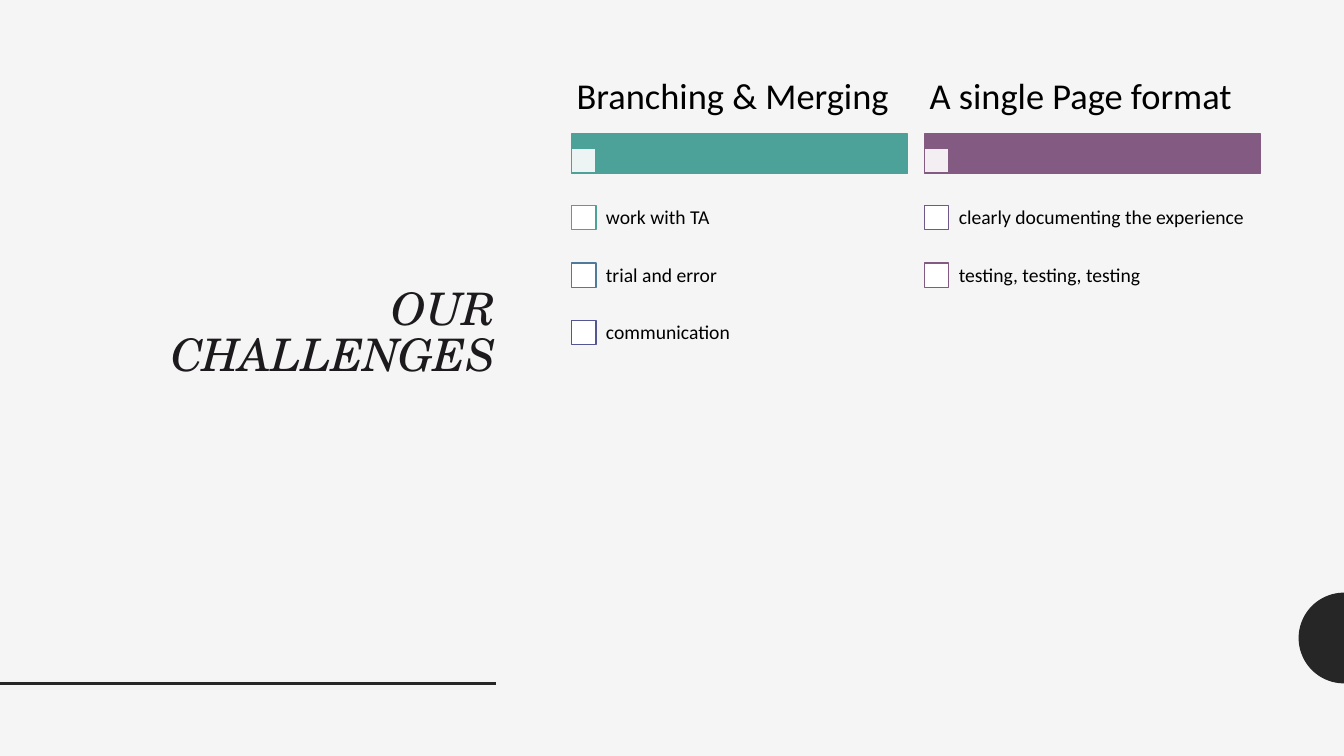
from dataclasses import dataclass
from math import cos, pi, sin

from lxml.etree import SubElement
from pptx import Presentation
from pptx.dml.color import RGBColor
from pptx.enum.shapes import MSO_CONNECTOR, MSO_SHAPE
from pptx.enum.text import MSO_ANCHOR, PP_ALIGN
from pptx.oxml.ns import qn
from pptx.util import Inches, Pt


@dataclass(frozen=True)
class Theme:
    """Colours, fonts and type sizes of the slide."""
    background: str = "F5F5F5"
    dark: str = "262626"
    title: str = "1D1A1D"
    text: str = "000000"
    box: str = "FFFFFF"
    teal: str = "4CA198"
    blue: str = "507A99"
    indigo: str = "545692"
    violet: str = "70588A"
    plum: str = "835B82"
    title_font: str = "TeX Gyre Schola"
    body_font: str = "Calibri"
    title_size: int = 32
    heading_size: int = 26
    item_size: int = 14


class ChallengeSlide:
    """Draws the elements of one slide in one theme."""

    def __init__(self, presentation, theme):
        """Add a blank slide with the theme background."""
        self.theme = theme
        self.slide = presentation.slides.add_slide(presentation.slide_layouts[6])
        self.fill(self.slide.background, theme.background)

    def fill(self, target, color):
        """Give a shape or background a solid fill."""
        target.fill.solid()
        target.fill.fore_color.rgb = RGBColor.from_string(color)

    def text(self, content, left, top, width, height, size, inset, line_spacing=0.9):
        """Add a vertically centred text box and return its paragraph."""
        shape = self.slide.shapes.add_textbox(
            Inches(left), Inches(top), Inches(width), Inches(height))
        frame = shape.text_frame
        frame.word_wrap = True
        frame.vertical_anchor = MSO_ANCHOR.MIDDLE
        frame.margin_left = frame.margin_right = Inches(inset[0])
        frame.margin_top = frame.margin_bottom = Inches(inset[1])
        paragraph = frame.paragraphs[0]
        paragraph.text = content
        paragraph.line_spacing = line_spacing
        paragraph.font.size = Pt(size)
        paragraph.font.name = self.theme.body_font
        paragraph.font.color.rgb = RGBColor.from_string(self.theme.text)
        return paragraph

    def title(self, content):
        """Add the right-aligned italic slide title."""
        paragraph = self.text(content, 0.83, 0.61, 4.19, 5.42,
                              self.theme.title_size, (0.1, 0.05), 0.85)
        paragraph.alignment = PP_ALIGN.RIGHT
        paragraph.font.name = self.theme.title_font
        paragraph.font.italic = True
        paragraph.font.color.rgb = RGBColor.from_string(self.theme.title)

    def rectangle(self, left, top, width, height, fill, line, opacity=100):
        """Add an outlined rectangle, optionally translucent."""
        shape = self.slide.shapes.add_shape(
            MSO_SHAPE.RECTANGLE, Inches(left), Inches(top), Inches(width), Inches(height))
        shape.shadow.inherit = False
        self.fill(shape, fill)
        shape.line.color.rgb = RGBColor.from_string(line)
        shape.line.width = Pt(1)
        if opacity < 100:
            color = shape.fill._xPr.find(qn("a:solidFill"))[0]
            SubElement(color, qn("a:alpha")).set("val", str(opacity * 1000))

    def checkbox(self, left, top, line, opacity=100):
        """Add a small white square."""
        self.rectangle(left, top, 0.24, 0.24, self.theme.box, line, opacity)

    def column(self, left, heading, color, items):
        """Add a heading, its colour bar and its list of checkboxes."""
        self.rectangle(left, 1.33, 3.33, 0.39, color, color)
        self.checkbox(left, 1.47, color, 90)
        self.text(heading, left, 0.62, 3.33, 0.7, self.theme.heading_size, (0.05, 0.04))
        for row, (item, line) in enumerate(items):
            top = 1.88 + 0.57 * row
            self.checkbox(left, top + 0.16, line)
            self.text(item, left + 0.23, top, 3.1, 0.57, self.theme.item_size, (0.11, 0.11))

    def rule(self, left, right, top):
        """Add a horizontal dark line."""
        line = self.slide.shapes.add_connector(
            MSO_CONNECTOR.STRAIGHT, Inches(left), Inches(top), Inches(right), Inches(top))
        line.line.color.rgb = RGBColor.from_string(self.theme.dark)
        line.line.width = Pt(2)
        SubElement(line._element.spPr, qn("a:effectLst"))

    def half_disc(self, center_x, center_y, radius, steps=48):
        """Add the left half of a dark disc."""
        angles = [pi / 2 + pi * step / steps for step in range(steps + 1)]
        points = [(Inches(center_x + radius * cos(angle)),
                   Inches(center_y + radius * sin(angle))) for angle in angles]
        builder = self.slide.shapes.build_freeform(*points[0])
        builder.add_line_segments(points[1:], close=True)
        shape = builder.convert_to_shape()
        shape.shadow.inherit = False
        self.fill(shape, self.theme.dark)
        shape.line.fill.background()


def main():
    """Build and save the challenges slide."""
    presentation = Presentation()
    presentation.slide_width = Inches(13.33)
    presentation.slide_height = Inches(7.5)
    theme = Theme()
    slide = ChallengeSlide(presentation, theme)
    slide.half_disc(13.33, 6.33, 0.45)
    slide.rule(0, 4.92, 6.78)
    slide.title("OUR CHALLENGES")
    slide.column(5.67, "Branching & Merging", theme.teal, [
        ("work with TA", theme.teal),
        ("trial and error", theme.blue),
        ("communication", theme.indigo),
    ])
    slide.column(9.17, "A single Page format", theme.plum, [
        ("clearly documenting the experience", theme.violet),
        ("testing, testing, testing", theme.plum),
    ])
    presentation.save("out.pptx")


if __name__ == "__main__":
    main()
